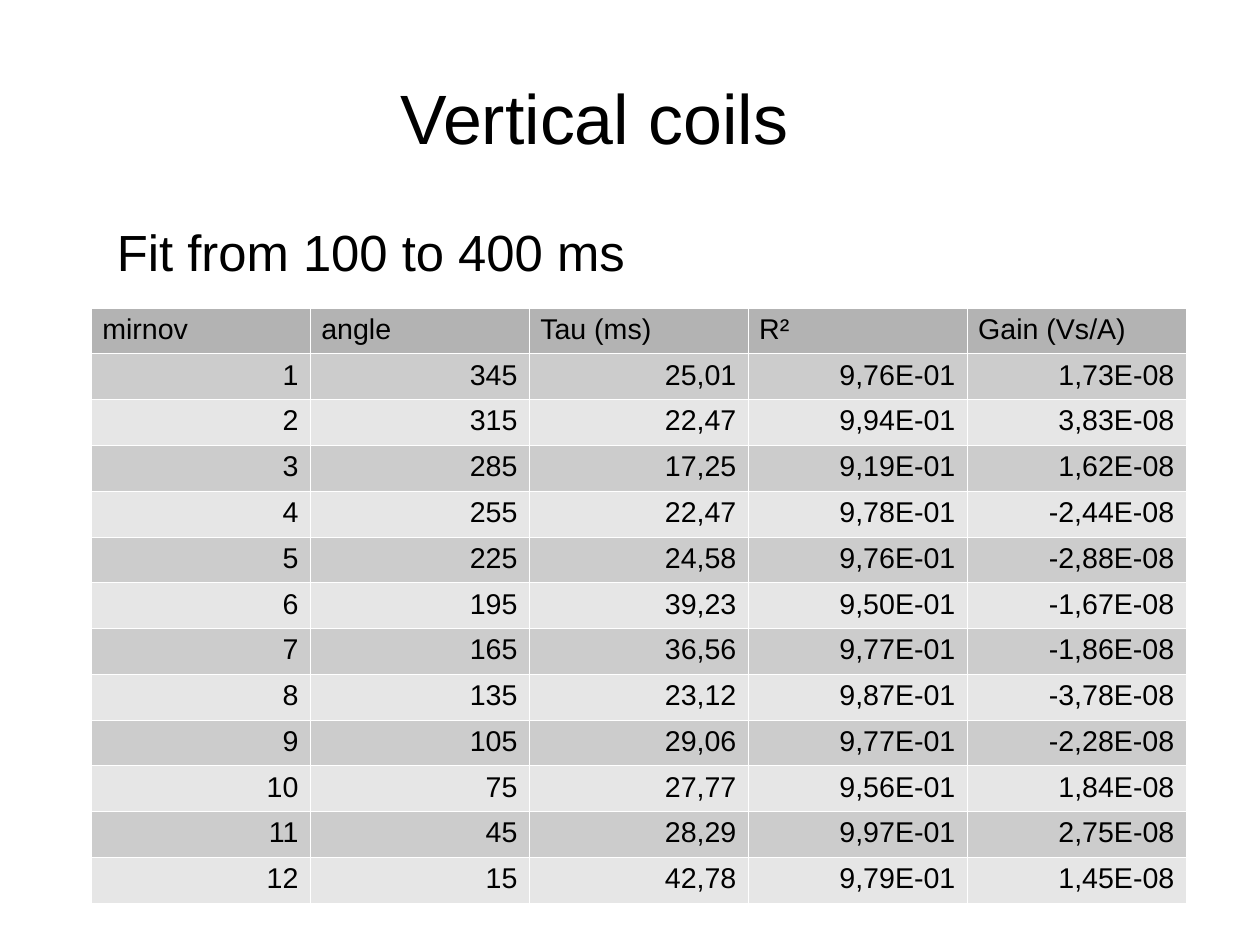
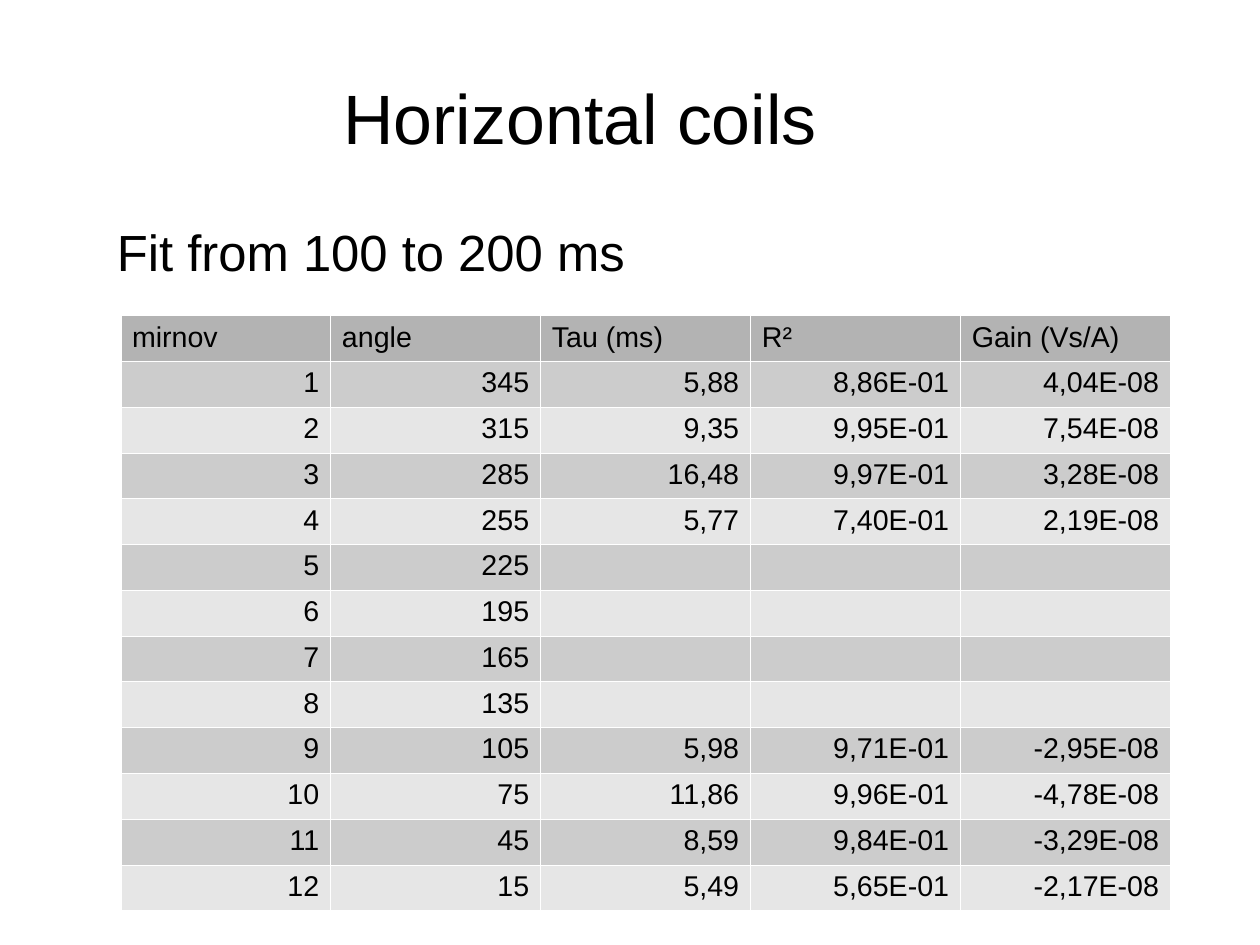
from pptx import Presentation
from pptx.dml.color import RGBColor
from pptx.enum.text import MSO_ANCHOR as Anchor, PP_ALIGN as Align
from pptx.oxml import parse_xml
from pptx.oxml.ns import nsdecls
from pptx.util import Cm, Pt

HEADINGS = ("mirnov", "angle", "Tau (ms)", "R²", "Gain (Vs/A)")
VERTICAL = (
    ("25,01", "9,76E-01", "1,73E-08"),
    ("22,47", "9,94E-01", "3,83E-08"),
    ("17,25", "9,19E-01", "1,62E-08"),
    ("22,47", "9,78E-01", "-2,44E-08"),
    ("24,58", "9,76E-01", "-2,88E-08"),
    ("39,23", "9,50E-01", "-1,67E-08"),
    ("36,56", "9,77E-01", "-1,86E-08"),
    ("23,12", "9,87E-01", "-3,78E-08"),
    ("29,06", "9,77E-01", "-2,28E-08"),
    ("27,77", "9,56E-01", "1,84E-08"),
    ("28,29", "9,97E-01", "2,75E-08"),
    ("42,78", "9,79E-01", "1,45E-08"),
)
UNMEASURED = ("", "", "")
HORIZONTAL = (
    ("5,88", "8,86E-01", "4,04E-08"),
    ("9,35", "9,95E-01", "7,54E-08"),
    ("16,48", "9,97E-01", "3,28E-08"),
    ("5,77", "7,40E-01", "2,19E-08"),
    *[UNMEASURED] * 4,
    ("5,98", "9,71E-01", "-2,95E-08"),
    ("11,86", "9,96E-01", "-4,78E-08"),
    ("8,59", "9,84E-01", "-3,29E-08"),
    ("5,49", "5,65E-01", "-2,17E-08"),
)


def rgb(value):
    return RGBColor.from_string(value)


def write(frame, text, size=18, align=Align.LEFT, color="000000", font="Arial"):
    para = frame.paragraphs[0]
    para.alignment = align
    para.font.size = Pt(size)
    if text:
        span = para.add_run()
        span.text = text
        span.font.size = Pt(size)
        span.font.name = font
        span.font.color.rgb = rgb(color)


class CoilDeck:
    """Coil fit slides in one plain style."""

    HEADER = "B3B3B3"
    BANDS = ("CCCCCC", "E6E6E6")
    RULE = "FFFFFF"
    LEFT, WIDTH = 1.4, 25.2

    def __init__(self):
        self.deck = Presentation()
        self.deck.slide_width, self.deck.slide_height = Cm(28), Cm(21)
        self.page = None

    def new_page(self):
        self.page = self.deck.slides.add_slide(self.deck.slide_layouts[6])

    def text(self, text, top, height, left_inset=0, right_inset=0,
             anchor=Anchor.TOP, **style):
        box = self.page.shapes.add_textbox(
            Cm(self.LEFT), Cm(top), Cm(self.WIDTH), Cm(height))
        frame = box.text_frame
        frame.word_wrap = True
        frame.vertical_anchor = anchor
        frame.margin_top = frame.margin_bottom = 0
        frame.margin_left, frame.margin_right = Cm(left_inset), Cm(right_inset)
        write(frame, text, **style)

    def title(self, text, right_inset):
        self.text(text, 0.84, 3.5, right_inset=right_inset,
                  anchor=Anchor.MIDDLE, size=44, align=Align.CENTER)

    def subtitle(self, text):
        self.text(text, 4.9, 12.17, left_inset=1.2, size=32)

    def borders(self, cell):
        properties = cell._tc.get_or_add_tcPr()
        for index, side in enumerate(("lnL", "lnR", "lnT", "lnB")):
            properties.insert(index, parse_xml(
                f'<a:{side} {nsdecls("a")} w="720"><a:solidFill>'
                f'<a:srgbClr val="{self.RULE}"/></a:solidFill></a:{side}>'))

    def table(self, fits, left, top, width):
        measured = [(str(number), str(375 - 30 * number), *fit)
                    for number, fit in enumerate(fits, 1)]
        rows = [HEADINGS, *measured]
        row_height = Cm(0.97)
        table = self.page.shapes.add_table(
            len(rows), len(HEADINGS), Cm(left), Cm(top), Cm(width),
            row_height * len(rows)).table
        for row_index, values in enumerate(rows):
            table.rows[row_index].height = row_height
            header = row_index == 0
            fill = self.HEADER if header else self.BANDS[(row_index - 1) % 2]
            for column_index, value in enumerate(values):
                cell = table.cell(row_index, column_index)
                cell.fill.solid()
                cell.fill.fore_color.rgb = rgb(fill)
                self.borders(cell)
                write(cell.text_frame, value,
                      align=Align.LEFT if header else Align.RIGHT)


def main():
    coils = CoilDeck()
    for title, inset, subtitle, fits, left, top, width in (
        ("Vertical coils", 1.57, "Fit from 100 to 400 ms", VERTICAL, 2.02, 6.84, 24.33),
        ("Horizontal coils", 2.2, "Fit from 100 to 200 ms", HORIZONTAL, 2.68, 7.01, 23.33),
    ):
        coils.new_page()
        coils.title(title, inset)
        coils.subtitle(subtitle)
        coils.table(fits, left, top, width)
    coils.deck.save("out.pptx")


if __name__ == "__main__":
    main()
